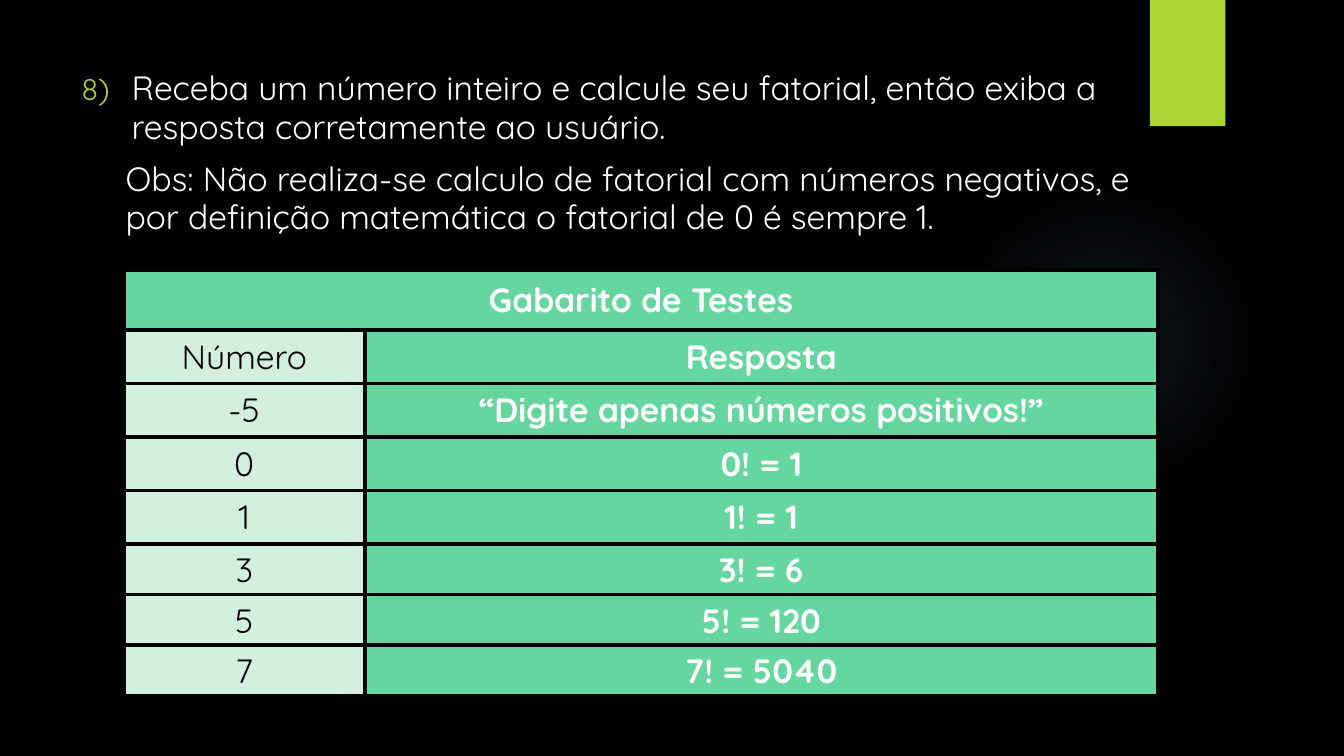
from lxml.etree import SubElement, fromstring
from pptx import Presentation
from pptx.dml.color import RGBColor
from pptx.enum.shapes import MSO_SHAPE as Shape
from pptx.enum.text import MSO_ANCHOR as Anchor, PP_ALIGN as Align
from pptx.oxml.ns import nsdecls, qn
from pptx.util import Cm, Pt


def color(value):
    return RGBColor.from_string(value)


class ExerciseSlide:
    font = "Quicksand"
    size = Pt(24)
    black = "000000"
    white = "FFFFFF"
    lime = "ACD433"
    green = "65D6A0"
    mint = "D3F0DF"
    glow = "7AC4F0"

    def __init__(self, deck):
        self.page = deck.slides.add_slide(deck.slide_layouts[6])
        self.page.background.fill.solid()
        self.page.background.fill.fore_color.rgb = color(self.black)

    def add_span(self, para, text, ink, bold=False):
        span = para.add_run()
        span.text = text
        span.font.name = self.font
        span.font.size = self.size
        span.font.bold = bold
        span.font.color.rgb = color(ink)

    def add_plain_shape(self, kind, left, top, width, height):
        shape = self.page.shapes.add_shape(
            kind, Cm(left), Cm(top), Cm(width), Cm(height))
        shape.shadow.inherit = False
        shape.line.fill.background()
        return shape

    def add_glow(self, left, top, diameter):
        shape = self.add_plain_shape(Shape.OVAL, left, top, diameter, diameter)
        shape.fill.background()
        stops = "".join(
            f'<a:gs pos="{place * 1000}"><a:srgbClr val="{self.glow}">'
            f'<a:alpha val="{alpha * 1000}"/></a:srgbClr></a:gs>'
            for place, alpha in ((0, 7), (36, 6), (69, 0), (100, 0)))
        gradient = fromstring(
            f'<a:gradFill {nsdecls("a")} rotWithShape="1"><a:gsLst>{stops}</a:gsLst>'
            '<a:path path="circle"><a:fillToRect l="50000" t="50000" r="50000" '
            'b="50000"/></a:path></a:gradFill>')
        properties = shape.element.spPr
        properties.replace(properties.find(qn("a:noFill")), gradient)

    def add_tab(self, left, top, width, height):
        shape = self.add_plain_shape(Shape.RECTANGLE, left, top, width, height)
        shape.fill.solid()
        shape.fill.fore_color.rgb = color(self.lime)

    def add_statement(self, left, top, width, height, number, question, note):
        box = self.page.shapes.add_textbox(Cm(left), Cm(top), Cm(width), Cm(height))
        frame = box.text_frame
        frame.word_wrap = True
        frame.margin_top = Cm(0.2)
        first, second = frame.paragraphs[0], frame.add_paragraph()
        second.space_before = Pt(10)
        for para, text in ((first, question), (second, note)):
            para.line_spacing = 0.95
            self.add_span(para, text, self.white)
        self.indent(second, 1.12, 0)
        numbered = self.indent(first, 1.27, -1.27)
        tint = SubElement(numbered, qn("a:buClr"))
        SubElement(tint, qn("a:srgbClr"), val=self.lime)
        SubElement(numbered, qn("a:buSzPct"), val="90000")
        SubElement(numbered, qn("a:buFont"), typeface=self.font)
        SubElement(numbered, qn("a:buAutoNum"), type="arabicParenR", startAt=str(number))

    def indent(self, para, margin, hanging):
        properties = para._p.get_or_add_pPr()
        properties.set("marL", str(Cm(margin)))
        properties.set("indent", str(Cm(hanging)))
        return properties

    def add_borders(self, cell):
        properties = cell._tc.get_or_add_tcPr()
        for place, side in enumerate("LRTB"):
            properties.insert(place, fromstring(
                f'<a:ln{side} {nsdecls("a")} w="{Pt(3)}"><a:solidFill>'
                f'<a:srgbClr val="{self.black}"/></a:solidFill></a:ln{side}>'))

    def add_answers(self, left, top, widths, heights, title, rows):
        table = self.page.shapes.add_table(
            len(heights), len(widths), Cm(left), Cm(top),
            Cm(sum(widths)), Cm(sum(heights))).table
        table.first_row = table.horz_banding = False
        for column, width in zip(table.columns, widths):
            column.width = Cm(width)
        for row, height in zip(table.rows, heights):
            row.height = Cm(height)
        table.cell(0, 0).merge(table.cell(0, 1))
        for r, texts in enumerate([(title, ""), *rows]):
            for c, text in enumerate(texts):
                cell = table.cell(r, c)
                strong = r == 0 or c == 1
                cell.fill.solid()
                cell.fill.fore_color.rgb = color(self.green if strong else self.mint)
                cell.vertical_anchor = Anchor.MIDDLE
                self.add_borders(cell)
                if text:
                    para = cell.text_frame.paragraphs[0]
                    para.alignment = Align.CENTER
                    self.add_span(para, text, self.white if strong else self.black, strong)


def main():
    deck = Presentation()
    deck.slide_width, deck.slide_height = Cm(33.87), Cm(19.05)
    slide = ExerciseSlide(deck)
    slide.add_glow(23.9, 4.65, 7.82)
    slide.add_tab(28.98, 0, 1.9, 3.18)
    slide.add_statement(
        1.8, 1.57, 27.79, 4.52, 8,
        "Receba um número inteiro e calcule seu fatorial, "
        "então exiba a resposta corretamente ao usuário.",
        "Obs: Não realiza-se calculo de fatorial com números negativos, "
        "e por definição matemática o fatorial de 0 é sempre 1.")
    slide.add_answers(
        3.12, 6.81, [6.07, 19.99], [1.5] + [1.35] * 4 + [1.22] * 3,
        "Gabarito de Testes",
        [("Número", "Resposta"),
         ("-5", "“Digite apenas números positivos!”"),
         ("0", "0! = 1"),
         ("1", "1! = 1"),
         ("3", "3! = 6"),
         ("5", "5! = 120"),
         ("7", "7! = 5040")])
    deck.save("out.pptx")


if __name__ == "__main__":
    main()
